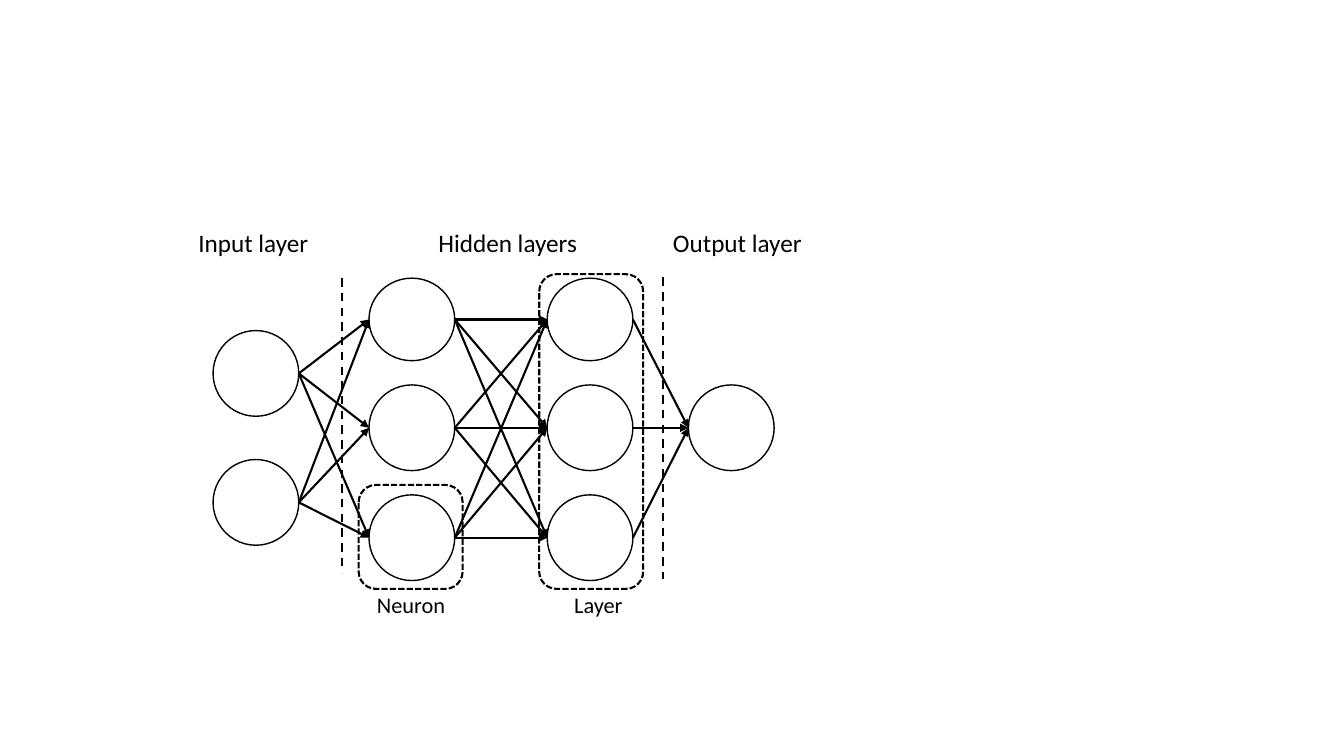
"""Build a slide that shows a small neural network with its layers."""
from itertools import product

from lxml import etree
from pptx import Presentation
from pptx.dml.color import RGBColor
from pptx.enum.dml import MSO_LINE
from pptx.enum.shapes import MSO_CONNECTOR, MSO_SHAPE
from pptx.enum.text import MSO_AUTO_SIZE
from pptx.oxml.ns import qn
from pptx.util import Cm, Pt

OVAL = MSO_SHAPE.OVAL
ROUND = MSO_SHAPE.ROUNDED_RECTANGLE
LINE = MSO_CONNECTOR.STRAIGHT
DASH = MSO_LINE.DASH
DOTS = MSO_LINE.SQUARE_DOT
GROW = MSO_AUTO_SIZE.SHAPE_TO_FIT_TEXT

FONT = "Calibri"
COLORS = {"ink": "000000"}
SIZE = 2.16
FLAT = 2.08
ROWS = [8.05, 10.78, 13.55]
LAYERS = [
    (5.37, [9.41, 12.66]),
    (9.3, ROWS),
    (13.79, ROWS),
    (17.35, ROWS[1:2]),
]
HEADS = [
    ("Input layer", 4.75, 3.38),
    ("Hidden layers", 10.8, 4.55),
    ("Output layer", 16.71, 3.78),
]
NOTES = [("Neuron", 9.25, 3.38), ("Layer", 14.22, 3.38)]
FRAMES = [(9.04, 12.22, 2.62), (13.59, 6.91, 7.93)]
SPLITS = [(8.61, 7.01, 14.43), (16.71, 6.99, 14.6)]


def ink():
    """Return the drawing colour."""
    return RGBColor.from_string(COLORS["ink"])


def stroke(line, width, dash=None):
    """Style a line or an outline."""
    line.color.rgb = ink()
    line.width = Pt(width)
    if dash is not None:
        line.dash_style = dash


def add_form(slide, kind, box, width, dash=None):
    """Add an unfilled shape with an outline."""
    form = slide.shapes.add_shape(kind, *map(Cm, box))
    form.shadow.inherit = False
    form.fill.background()
    stroke(form.line, width, dash)


def add_line(slide, start, end, dash=None, arrow=False):
    """Add a straight line, with an arrowhead if asked."""
    link = slide.shapes.add_connector(LINE, *map(Cm, start + end))
    stroke(link.line, 1.5, dash)
    props = link._element.spPr
    if arrow:
        etree.SubElement(props.find(qn("a:ln")), qn("a:tailEnd"), type="triangle")
    etree.SubElement(props, qn("a:effectLst"))


def add_label(slide, text, box, size):
    """Add a label in a text box."""
    frame = slide.shapes.add_textbox(*map(Cm, box)).text_frame
    frame.word_wrap = True
    frame.auto_size = GROW
    run = frame.paragraphs[0].add_run()
    run.text = text
    run.font.name = FONT
    run.font.size = Pt(size)
    run.font.color.rgb = ink()


def add_layer(slide, left, rows):
    """Add the neurons of one layer."""
    for row in rows:
        high = FLAT if row == ROWS[0] else SIZE
        add_form(slide, OVAL, (left, row - high / 2, SIZE, high), 1)


def add_links(slide, source, target):
    """Link each neuron of a layer to each one of the next."""
    for start, end in product(source[1], target[1]):
        add_line(slide, (source[0] + SIZE, start), (target[0], end), arrow=True)


def main():
    """Build and save the slide."""
    deck = Presentation()
    deck.slide_width, deck.slide_height = Cm(33.87), Cm(19.05)
    slide = deck.slides.add_slide(deck.slide_layouts[6])
    for left, rows in LAYERS:
        add_layer(slide, left, rows)
    for source, target in zip(LAYERS, LAYERS[1:]):
        add_links(slide, source, target)
    for left, top, end in SPLITS:
        add_line(slide, (left, top), (left, end), DASH)
    for left, top, high in FRAMES:
        add_form(slide, ROUND, (left, top, 2.62, high), 1.5, DOTS)
    for text, left, wide in HEADS:
        add_label(slide, text, (left, 5.61, wide, 1.02), 18)
    for text, left, wide in NOTES:
        add_label(slide, text, (left, 14.76, wide, 0.94), 16)
    deck.save("out.pptx")


main()
